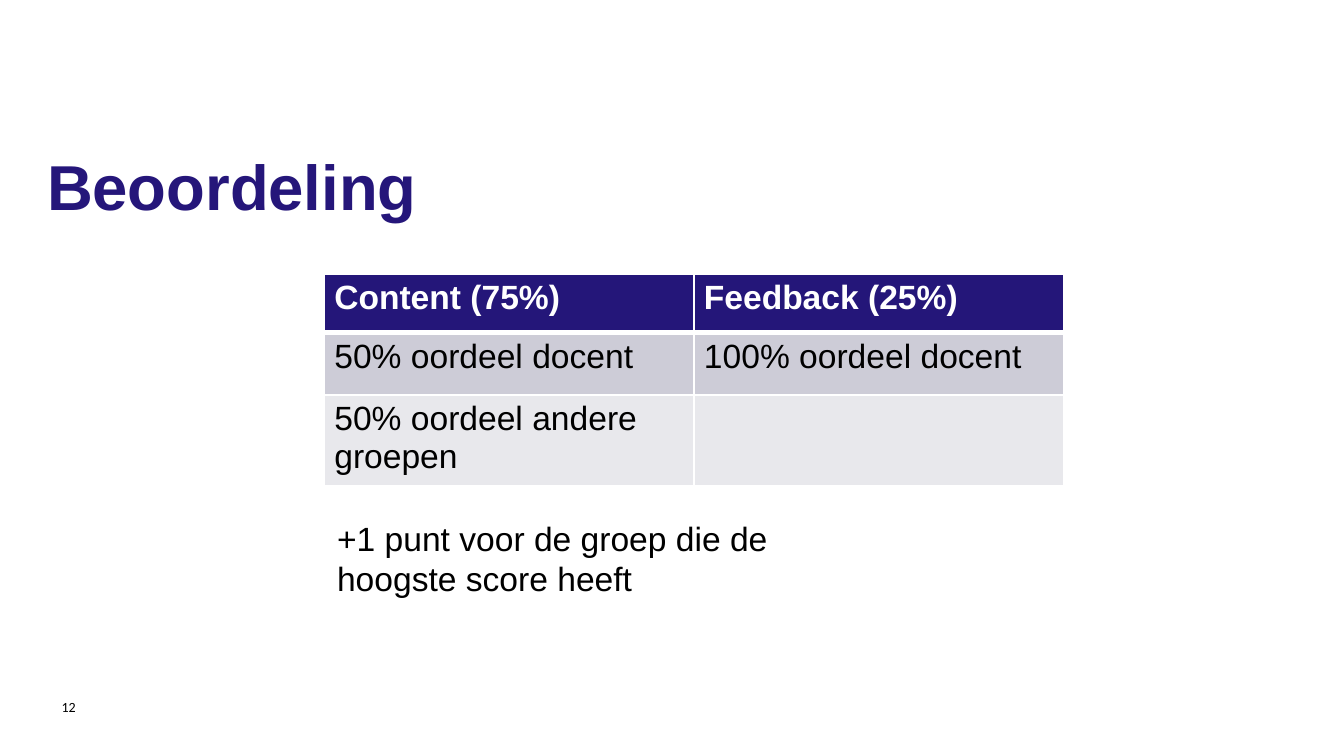
from lxml import etree
from pptx import Presentation
from pptx import util as u
from pptx.dml.color import RGBColor
from pptx.enum import text
from pptx.oxml.ns import qn

WIDTH = u.Inches(10)
HEIGHT = WIDTH * 9 // 16
COLORS = {"title": "25167A", "header": "241679", "odd": "CDCCD7",
          "even": "E8E8EC", "white": "FFFFFF", "black": "000000"}
FORMATS = {
    "title": {"size": u.Pt(34), "name": "Arial", "bold": True},
    "header": {"size": u.Pt(18), "name": "Arial", "bold": True},
    "body": {"size": u.Pt(18), "name": "Arial", "bold": False},
    "number": {"size": u.Pt(7.5), "name": "Calibri", "bold": False},
}
GRADES = [("Content (75%)", "Feedback (25%)"),
          ("50% oordeel docent", "100% oordeel docent"),
          ("50% oordeel andere groepen", "")]


def share(left, top, width, height):
    """Turn percentages of the slide into a box in EMU."""
    return (int(WIDTH * left / 100), int(HEIGHT * top / 100),
            int(WIDTH * width / 100), int(HEIGHT * height / 100))


def write(frame, words, style, color):
    paragraph = frame.paragraphs[0]
    if words:
        paragraph.add_run().text = words
    for font in [paragraph.font] + [run.font for run in paragraph.runs]:
        for key, value in FORMATS[style].items():
            setattr(font, key, value)
        font.color.rgb = RGBColor.from_string(COLORS[color])


def add_words(slide, box, words, style, color, **frame_format):
    frame = slide.shapes.add_textbox(*box).text_frame
    frame.word_wrap = True
    for key, value in frame_format.items():
        setattr(frame, key, value)
    write(frame, words, style, color)


def add_borders(cell, widths):
    properties = cell._tc.get_or_add_tcPr()
    for side, points in zip("LRTB", widths):
        line = etree.SubElement(properties, qn(f"a:ln{side}"), w=str(u.Pt(points)))
        fill = etree.SubElement(line, qn("a:solidFill"))
        etree.SubElement(fill, qn("a:srgbClr"), val=COLORS["white"])


def add_grades(slide, box):
    left, top, width, height = box
    table = slide.shapes.add_table(len(GRADES), len(GRADES[0]), *box).table
    for column in table.columns:
        column.width = width // len(GRADES[0])
    for row, part in zip(table.rows, (0.32, 0.34, 0.34)):
        row.height = int(height * part)

    margins = {"margin_left": u.Pt(5.4), "margin_right": u.Pt(5.4),
               "margin_top": u.Pt(2.7), "margin_bottom": u.Pt(2.7)}
    for r, row in enumerate(GRADES):
        for c, words in enumerate(row):
            cell = table.cell(r, c)
            for key, value in margins.items():
                setattr(cell, key, value)
            # A thick rule separates the header from the body
            add_borders(cell, (1, 1, 3 if r == 1 else 1, 3 if r == 0 else 1))
            cell.fill.solid()
            cell.fill.fore_color.rgb = RGBColor.from_string(
                COLORS[("header", "odd", "even")[r]])
            write(cell.text_frame, words, "body" if r else "header",
                  "black" if r else "white")


def build_grading_slide(slide):
    # Title
    add_words(slide, share(3.5, 19.4, 92.9, 21.5), "Beoordeling", "title",
              "title", margin_left=0, margin_top=0,
              margin_right=0, margin_bottom=0)
    # Slide number
    add_words(slide, share(3.6, 90.9, 3.9, 5.3), "12", "number", "black",
              vertical_anchor=text.MSO_ANCHOR.MIDDLE)
    # Grading table
    add_grades(slide, share(24.13, 36.3, 55, 24.2))
    # Bonus note
    add_words(slide, share(24.1, 67.6, 39.7, 12.6),
              "+1 punt voor de groep die de hoogste score heeft",
              "body", "black",
              auto_size=text.MSO_AUTO_SIZE.SHAPE_TO_FIT_TEXT)


def main():
    deck = Presentation()
    deck.slide_width, deck.slide_height = WIDTH, HEIGHT
    build_grading_slide(deck.slides.add_slide(deck.slide_layouts[6]))
    deck.save("out.pptx")


if __name__ == "__main__":
    main()
